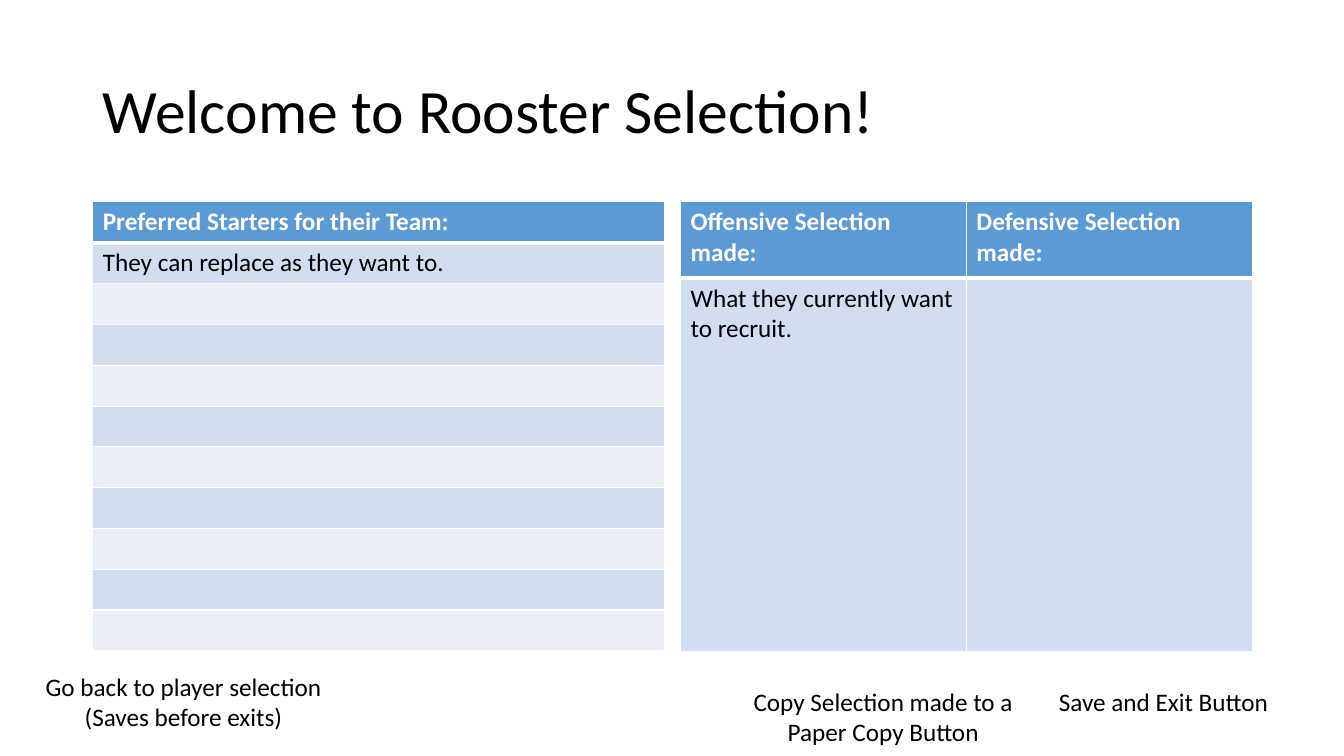
from lxml import etree
from pptx import Presentation
from pptx import util as u
from pptx.dml.color import RGBColor
from pptx.enum import text
from pptx.oxml.ns import qn

PX = 9144  # 100 px to the inch
HUES = {"head": "5B9BD5", "dark": "D2DEEF", "light": "EAEFF7",
        "white": "FFFFFF", "black": "000000"}


def style(frame, size, hue, bold=False):
    for para in frame.paragraphs:
        para.font.size = u.Pt(size)
        for run in para.runs:
            run.font.size = u.Pt(size)
            run.font.name = "Calibri"
            run.font.bold = bold
            run.font.color.rgb = RGBColor.from_string(HUES[hue])


def edge(cell, row):
    """Draw white cell borders, thick between the header and the body."""
    props = cell._tc.get_or_add_tcPr()
    thick = {"lnT": row == 1, "lnB": row == 0}
    for spot, side in enumerate(("lnL", "lnR", "lnT", "lnB")):
        width = u.Pt(3 if thick.get(side) else 1)
        line = etree.Element(qn("a:" + side), w=str(width))
        fill = etree.SubElement(line, qn("a:solidFill"))
        etree.SubElement(fill, qn("a:srgbClr"), val=HUES["white"])
        props.insert(spot, line)


deck = Presentation()
deck.slide_width, deck.slide_height = 1333 * PX, 750 * PX
slide = deck.slides.add_slide(deck.slide_layouts[6])

# Title
title = slide.shapes.add_textbox(92 * PX, 40 * PX, 1150 * PX, 145 * PX)
frame = title.text_frame
frame.word_wrap = True
frame.vertical_anchor = text.MSO_ANCHOR.MIDDLE
frame.text = "Welcome to Rooster Selection!"
frame.paragraphs[0].line_spacing = 0.9
style(frame, 44, "black")

# Tables: left edge, row heights, header texts, first body texts
tables = [
    (92, [41] + [40.5] * 10, ["Preferred Starters for their Team:"],
     ["They can replace as they want to."]),
    (675, [76, 370], ["Offensive Selection made:", "Defensive Selection made:"],
     ["What they currently want to recruit.", ""]),
]
for left, highs, heads, body in tables:
    grid = slide.shapes.add_table(len(highs), len(heads), left * PX, 200 * PX,
                                  567 * PX, 446 * PX).table
    for row, high in enumerate(highs):
        grid.rows[row].height = int(high * PX)
        hue = "head" if row == 0 else "dark" if row % 2 else "light"
        for col in range(len(heads)):
            cell = grid.cell(row, col)
            if row < 2:
                cell.text = (heads, body)[row][col]
            style(cell.text_frame, 18, "black" if row else "white", row == 0)
            cell.fill.solid()
            cell.fill.fore_color.rgb = RGBColor.from_string(HUES[hue])
            edge(cell, row)

# Button labels
labels = [
    (32, 661, 71, "Go back to player selection (Saves before exits)"),
    (1004, 676, 40, "Save and Exit Button"),
    (726, 676, 101, "Copy Selection made to a Paper Copy Button"),
]
for left, top, high, words in labels:
    label = slide.shapes.add_textbox(left * PX, top * PX, 300 * PX, high * PX)
    frame = label.text_frame
    frame.word_wrap = True
    frame.auto_size = text.MSO_AUTO_SIZE.SHAPE_TO_FIT_TEXT
    frame.text = words
    frame.paragraphs[0].alignment = text.PP_ALIGN.CENTER
    style(frame, 18, "black")

deck.save("out.pptx")
